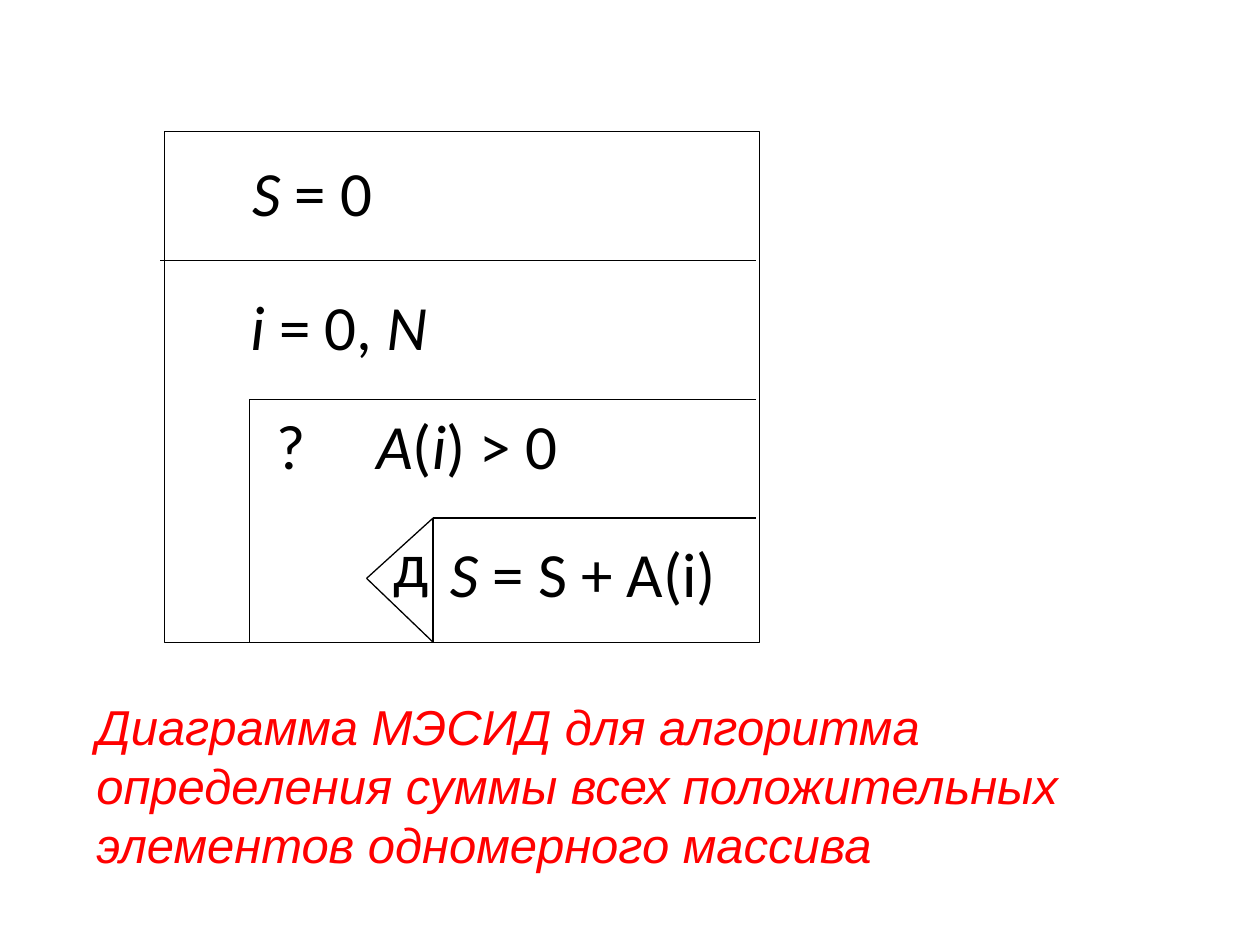
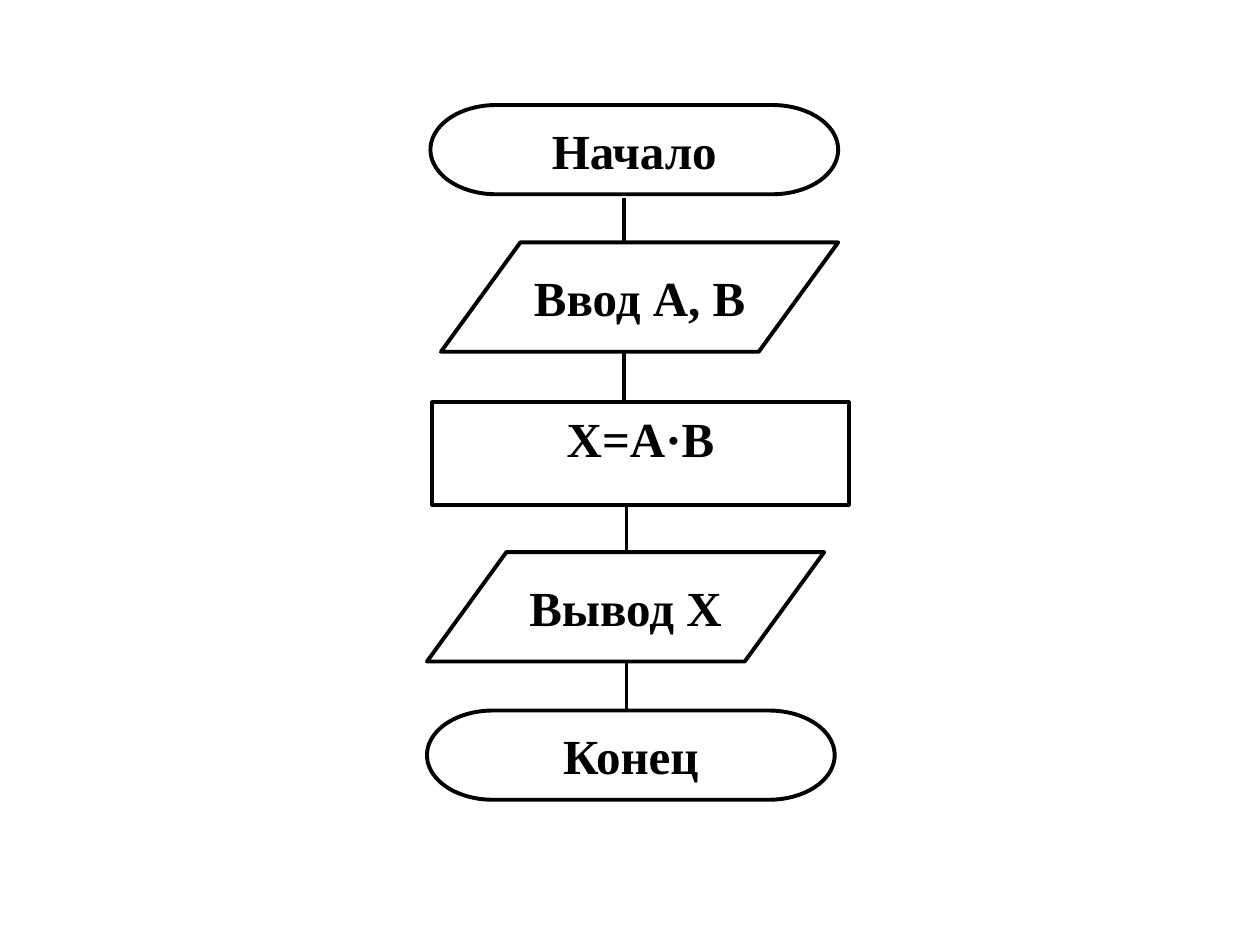
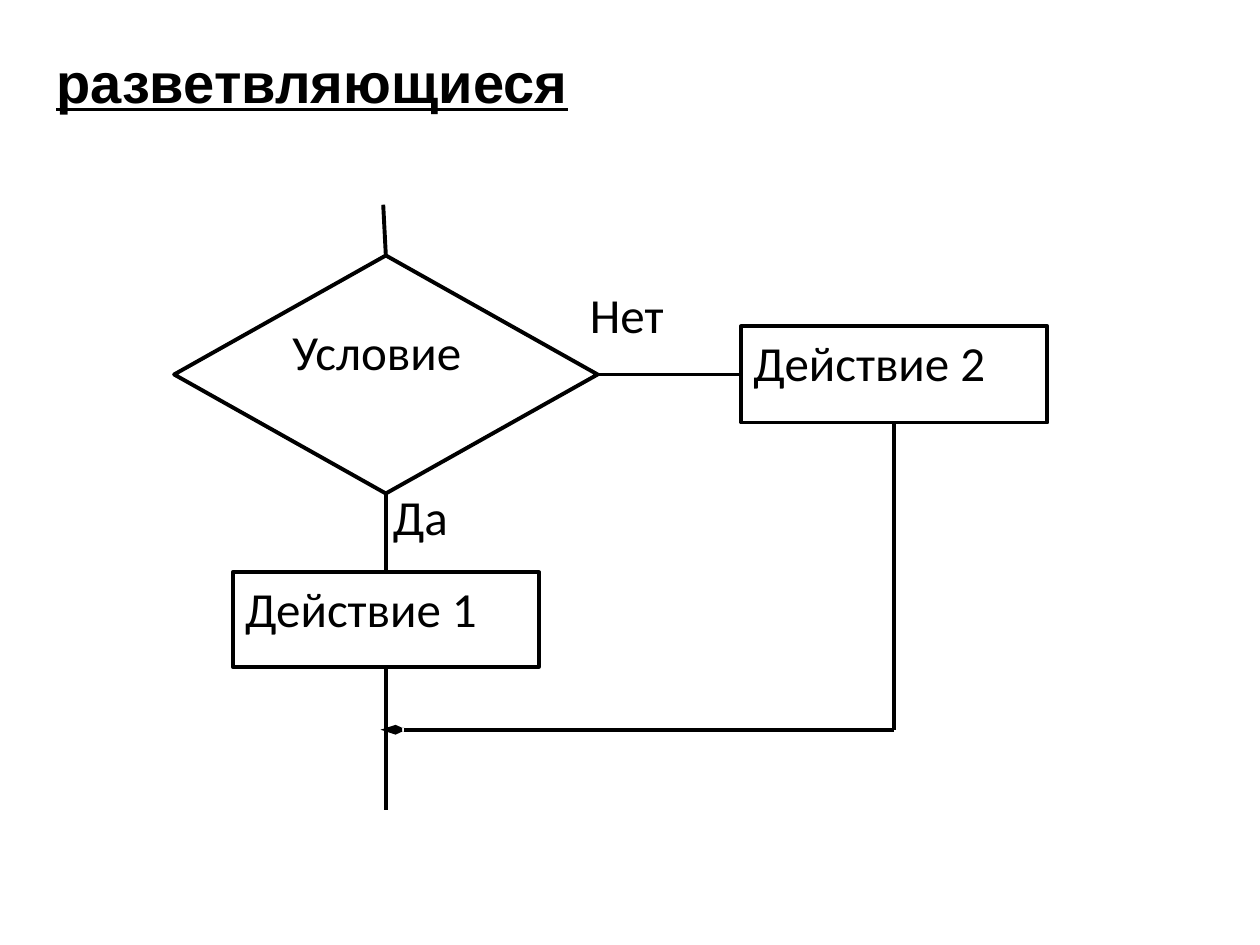
from dataclasses import dataclass
from typing import NamedTuple

from lxml import etree
from pptx import Presentation
from pptx.dml.color import RGBColor
from pptx.enum.shapes import MSO_CONNECTOR, MSO_SHAPE
from pptx.enum.text import MSO_ANCHOR, PP_ALIGN
from pptx.oxml.ns import qn
from pptx.shapes.autoshape import Shape
from pptx.shapes.connector import Connector
from pptx.slide import Slide
from pptx.util import Pt

RECT = MSO_SHAPE.RECTANGLE
TERM = MSO_SHAPE.FLOWCHART_TERMINATOR
DATA = MSO_SHAPE.FLOWCHART_DATA
TEST = MSO_SHAPE.FLOWCHART_DECISION
STRAIGHT = MSO_CONNECTOR.STRAIGHT
LEFT, CENTER = PP_ALIGN.LEFT, PP_ALIGN.CENTER
TOP, MIDDLE = MSO_ANCHOR.TOP, MSO_ANCHOR.MIDDLE
N, W, S, E = range(4)


@dataclass(frozen=True)
class Theme:
    ink: RGBColor = RGBColor(0, 0, 0)
    paper: RGBColor = RGBColor(255, 255, 255)
    accent: RGBColor = RGBColor(255, 0, 0)
    body: str = "Calibri"
    head: str = "Arial"
    flow: str = "Times New Roman"
    text: float = 28
    title: float = 32
    code: float = 36
    thin: float = 0.75
    thick: float = 2.25


THEME = Theme()


class Box(NamedTuple):
    x: float
    y: float
    w: float
    h: float


class Label(NamedTuple):
    box: Box
    text: str
    tab: float = 0


class Seg(NamedTuple):
    x1: float
    y1: float
    x2: float
    y2: float


class Step(NamedTuple):
    kind: MSO_SHAPE
    box: Box
    text: str


def write(shape: Shape, text: str, *, font: str = THEME.body, size: float = THEME.text,
          color: RGBColor = THEME.ink, bold: bool = False, line: bool = False,
          align: PP_ALIGN = LEFT, anchor: MSO_ANCHOR = TOP, wrap: bool = True,
          after: float = 0, tab: float = 0) -> None:
    """Fill a shape with one paragraph; *asterisks* mark italics."""
    frame = shape.text_frame
    frame.word_wrap = wrap
    frame.vertical_anchor = anchor
    para = frame.paragraphs[0]
    if tab:
        stops = etree.SubElement(para._p.get_or_add_pPr(), qn("a:tabLst"))
        etree.SubElement(stops, qn("a:tab"), pos=str(Pt(tab)), algn="l")
    para.alignment = align
    para.space_after = Pt(after)
    for i, part in enumerate(text.split("*")):
        if part:
            run = para.add_run()
            run.text = part
            run.font.name = font
            run.font.size = Pt(size)
            run.font.color.rgb = color
            run.font.bold = bold
            run.font.italic = i % 2 == 1
            run.font.underline = line


def add_text(slide: Slide, box: Box) -> Shape:
    return slide.shapes.add_textbox(*map(Pt, box))


def add_block(slide: Slide, kind: MSO_SHAPE, box: Box,
              width: float = THEME.thick) -> Shape:
    shape = slide.shapes.add_shape(kind, *map(Pt, box))
    shape.shadow.inherit = False
    shape.fill.solid()
    shape.fill.fore_color.rgb = THEME.paper
    shape.line.color.rgb = THEME.ink
    shape.line.width = Pt(width)
    return shape


def add_line(slide: Slide, seg: Seg, width: float = THEME.thick) -> Connector:
    link = slide.shapes.add_connector(STRAIGHT, *map(Pt, seg))
    link.line.color.rgb = THEME.ink
    link.line.width = Pt(width)
    etree.SubElement(link._element.spPr, qn("a:effectLst"))
    return link


def draw_sum(slide: Slide) -> None:
    """Nested diagram of the sum of positive items."""
    frame = Box(94, 75, 340, 292)
    right, base = 432, frame.y + frame.h
    loop_x, loop_y = 142.5, 228.5
    act_x, act_y = 247.5, 296
    tip_x, tip_y = 209.5, 330.5

    add_block(slide, RECT, frame, THEME.thin)
    for seg in (
        Seg(91.5, 149, right, 149),
        Seg(loop_x, loop_y, right, loop_y),
        Seg(loop_x, loop_y, loop_x, base),
        Seg(act_x, act_y, right, act_y),
        Seg(act_x, act_y, act_x, base),
        Seg(act_x, act_y, tip_x, tip_y),
        Seg(act_x, base, tip_x, tip_y),
    ):
        add_line(slide, seg, THEME.thin)
    for label in (
        Label(Box(137, 84, 133, 56), "*S* = 0"),
        Label(Box(136, 161, 179, 67), "*i* = 0, *N*"),
        Label(Box(151, 229, 246, 56), "?\t*A*(*i*) > 0", 57),
        Label(Box(250, 302, 212, 56), "*S* = S + A(i)"),
        Label(Box(218, 296, 52, 56), "д"),
    ):
        write(add_text(slide, label.box), label.text, size=THEME.code,
              after=10, tab=label.tab)
    write(add_text(slide, Box(48, 394.5, 634, 109)),
          "*Диаграмма МЭСИД для алгоритма определения суммы всех "
          "положительных элементов одномерного массива*",
          font=THEME.head, color=THEME.accent)


def draw_flow(slide: Slide) -> None:
    """Linear flowchart of a product."""
    for x, y1, y2 in ((356.5, 113, 142.5), (356.5, 201, 230),
                      (358, 288, 316), (358, 378, 407)):
        add_line(slide, Seg(x, y1, x, y2))
    for step in (
        Step(TERM, Box(246, 60, 233, 51), "Начало"),
        Step(DATA, Box(252, 138.5, 227, 62.5), "Ввод А, В"),
        Step(RECT, Box(247, 230, 238, 58.5), "X=A·B"),
        Step(DATA, Box(244, 315.5, 227, 62.5), "Вывод X"),
        Step(TERM, Box(244, 406, 233, 51), "Конец"),
    ):
        plain = step.kind == RECT
        write(add_block(slide, step.kind, step.box), step.text, font=THEME.flow,
              bold=True, align=CENTER, anchor=TOP if plain else MIDDLE, wrap=plain)


def draw_branch(slide: Slide) -> None:
    """Flowchart with two branches that meet again."""
    write(add_text(slide, Box(25, 24, 318, 45)), "разветвляющиеся", font=THEME.head,
          size=THEME.title, bold=True, line=True, anchor=MIDDLE)

    test, yes, no = (add_block(slide, step.kind, step.box) for step in (
        Step(TEST, Box(99.5, 146, 242, 136), "Условие"),
        Step(RECT, Box(133, 327, 175, 54), "Действие 1"),
        Step(RECT, Box(423.5, 186.5, 175, 55), "Действие 2"),
    ))
    for shape, text in ((test, "Условие"), (yes, "Действие 1"), (no, "Действие 2")):
        write(shape, text, after=10)
    for label in (Label(Box(217.5, 274.5, 81, 55), "Да"),
                  Label(Box(330, 159, 93, 54), "Нет")):
        write(add_text(slide, label.box), label.text, after=10)

    trunk, side, join = 220.5, 511, 417
    add_line(slide, Seg(219, 117, trunk, 146)).end_connect(test, N)
    down = add_line(slide, Seg(trunk, 282, trunk, 327))
    down.begin_connect(test, S)
    down.end_connect(yes, N)
    over = add_line(slide, Seg(341.5, 214, 423.5, 214))
    over.begin_connect(test, E)
    over.end_connect(no, W)
    add_line(slide, Seg(trunk, 381, trunk, 463)).begin_connect(yes, S)
    add_line(slide, Seg(side, 241.5, side, join)).begin_connect(no, S)
    back = add_line(slide, Seg(side, join, 217.5, join))
    etree.SubElement(back.get_or_add_ln(), qn("a:tailEnd"),
                     type="arrow", w="sm", len="lg")


def main() -> None:
    deck = Presentation()
    deck.slide_width, deck.slide_height = Pt(720), Pt(540)
    for draw in (draw_sum, draw_flow, draw_branch):
        draw(deck.slides.add_slide(deck.slide_layouts[6]))
    deck.save("out.pptx")


if __name__ == "__main__":
    main()
